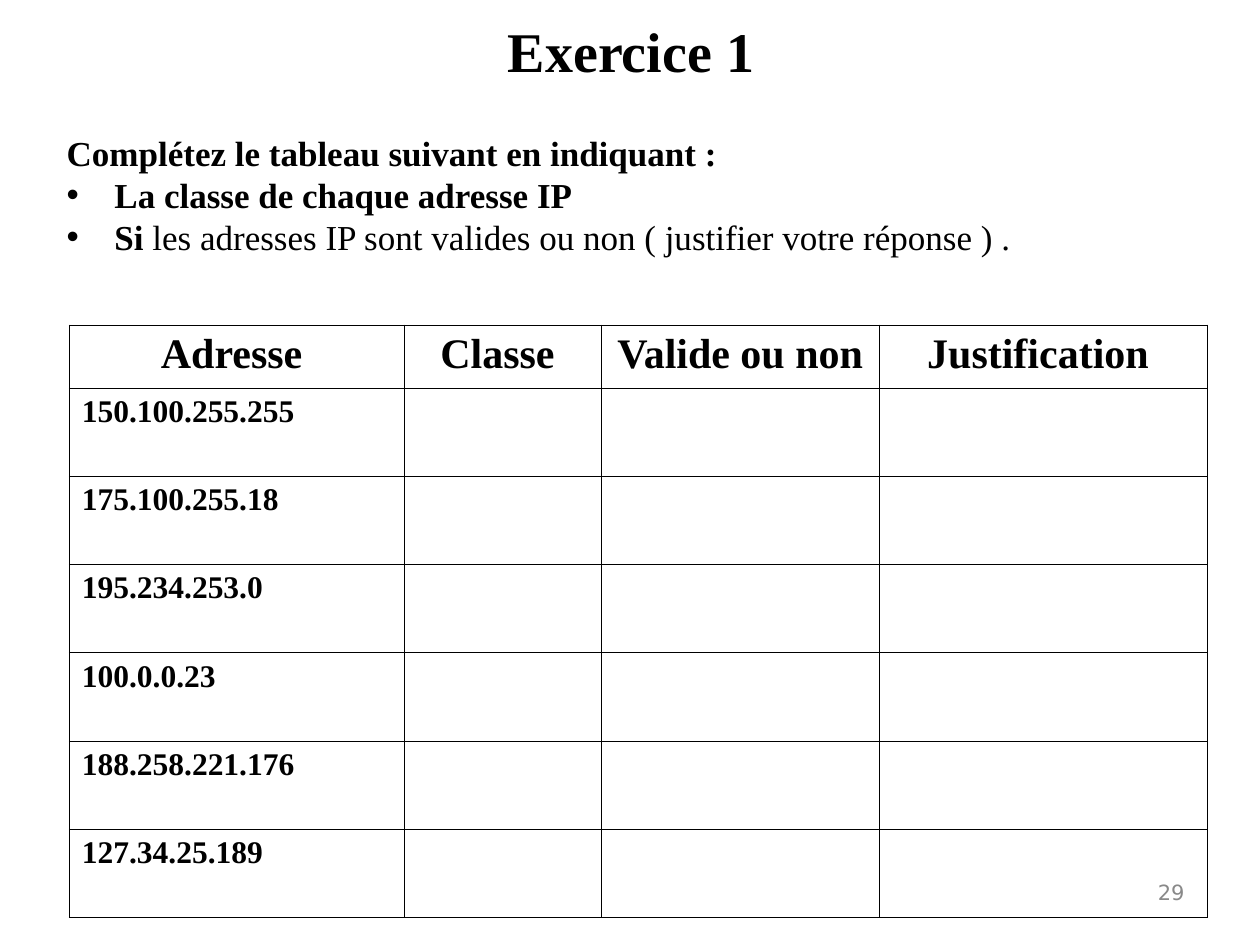
from dataclasses import dataclass

from lxml.etree import SubElement
from pptx import Presentation
from pptx.dml.color import RGBColor
from pptx.enum.text import MSO_ANCHOR, PP_ALIGN
from pptx.oxml.ns import qn
from pptx.util import Inches, Pt

COLORS = {"text": "000000", "cell": "FFFFFF", "border": "000000", "number": "898989"}
SERIF = "Times New Roman"
HEADINGS = ["Adresse ", "Classe ", "Valide ou non ", "Justification "]
COLUMN_WIDTHS = [2.66, 1.56, 2.21, 2.6]
ADDRESSES = [
    "150.100.255.255",
    "175.100.255.18",
    "195.234.253.0",
    "100.0.0.23",
    "188.258.221.176",
    "127.34.25.189",
]
HEADER_HEIGHT, ROW_HEIGHT = 0.5, 0.7


@dataclass
class Run:
    """A piece of text with its own weight."""

    text: str
    bold: bool = True


@dataclass
class Line:
    """A paragraph of runs, with or without a bullet."""

    runs: list[Run]
    bullet: bool = False


@dataclass
class TextBlock:
    """A text box with its place, lines and look."""

    left: float
    top: float
    width: float
    height: float
    lines: list[Line]
    size: float
    alignment: PP_ALIGN = PP_ALIGN.LEFT
    font: str = SERIF
    color: str = "text"
    hanging: float = 0


BLOCKS = [
    TextBlock(
        0.43, 0.99, 9.29, 1.1,
        [
            Line([Run("Complétez le tableau suivant en indiquant :")]),
            Line([Run("La classe de chaque adresse IP")], bullet=True),
            Line(
                [
                    Run("Si "),
                    Run("les adresses IP sont valides ou non ( justifier votre réponse ) .", False),
                ],
                bullet=True,
            ),
        ],
        20,
        hanging=0.38,
    ),
    TextBlock(0.51, 0, 9, 0.79, [Line([Run("Exercice 1")])], 32, PP_ALIGN.CENTER),
]
PAGE_NUMBER = TextBlock(
    7.17, 6.83, 2.33, 0.5, [Line([Run("29", False)])], 12, PP_ALIGN.RIGHT, "DejaVu Sans", "number"
)


def add_run(paragraph, run: Run, size: float, font: str = SERIF, color: str = "text") -> None:
    """Append a formatted run to a paragraph."""
    text_run = paragraph.add_run()
    text_run.text = run.text
    text_run.font.name = font
    text_run.font.size = Pt(size)
    text_run.font.bold = run.bold
    text_run.font.color.rgb = RGBColor.from_string(COLORS[color])


def indent(paragraph, hanging: float, bullet: bool) -> None:
    """Give a paragraph a hanging indent and, if asked, a bullet."""
    properties = paragraph._p.get_or_add_pPr()
    properties.set("marL", str(Inches(hanging)))
    properties.set("indent", str(-Inches(hanging)))
    if bullet:
        SubElement(properties, qn("a:buFont"), typeface="Arial")
        SubElement(properties, qn("a:buChar"), char="•")


def add_text_block(slide, block: TextBlock) -> None:
    """Draw a text box."""
    shape = slide.shapes.add_textbox(
        Inches(block.left), Inches(block.top), Inches(block.width), Inches(block.height)
    )
    frame = shape.text_frame
    frame.word_wrap = True
    frame.vertical_anchor = MSO_ANCHOR.MIDDLE
    for index, line in enumerate(block.lines):
        paragraph = frame.add_paragraph() if index else frame.paragraphs[0]
        paragraph.alignment = block.alignment
        if block.hanging:
            indent(paragraph, block.hanging, line.bullet)
        for run in line.runs:
            add_run(paragraph, run, block.size, block.font, block.color)


def style_cell(cell) -> None:
    """Give a cell thin borders on all sides and a plain fill."""
    properties = cell._tc.get_or_add_tcPr()
    for side in ("lnL", "lnR", "lnT", "lnB"):
        border = SubElement(properties, qn(f"a:{side}"), w=str(Pt(0.45)))
        fill = SubElement(border, qn("a:solidFill"))
        SubElement(fill, qn("a:srgbClr"), val=COLORS["border"])
    cell.fill.solid()
    cell.fill.fore_color.rgb = RGBColor.from_string(COLORS["cell"])


def add_address_table(slide) -> None:
    """Draw the table of addresses to complete."""
    heights = [HEADER_HEIGHT] + [ROW_HEIGHT] * len(ADDRESSES)
    table = slide.shapes.add_table(
        len(heights), len(HEADINGS),
        Inches(0.55), Inches(2.58), Inches(sum(COLUMN_WIDTHS)), Inches(sum(heights)),
    ).table
    for column, width in zip(table.columns, COLUMN_WIDTHS):
        column.width = Inches(width)
    for row, height in zip(table.rows, heights):
        row.height = Inches(height)
    for cell in table.iter_cells():
        style_cell(cell)
    for index, heading in enumerate(HEADINGS):
        paragraph = table.cell(0, index).text_frame.paragraphs[0]
        paragraph.alignment = PP_ALIGN.CENTER
        add_run(paragraph, Run(heading), 24)
    for index, address in enumerate(ADDRESSES, start=1):
        add_run(table.cell(index, 0).text_frame.paragraphs[0], Run(address), 18)


def main() -> None:
    """Build and save the exercise slide."""
    presentation = Presentation()
    presentation.slide_width = Inches(10)
    presentation.slide_height = Inches(7.5)
    slide = presentation.slides.add_slide(presentation.slide_layouts[6])
    for block in BLOCKS:
        add_text_block(slide, block)
    add_address_table(slide)
    add_text_block(slide, PAGE_NUMBER)
    presentation.save("out.pptx")


if __name__ == "__main__":
    main()
